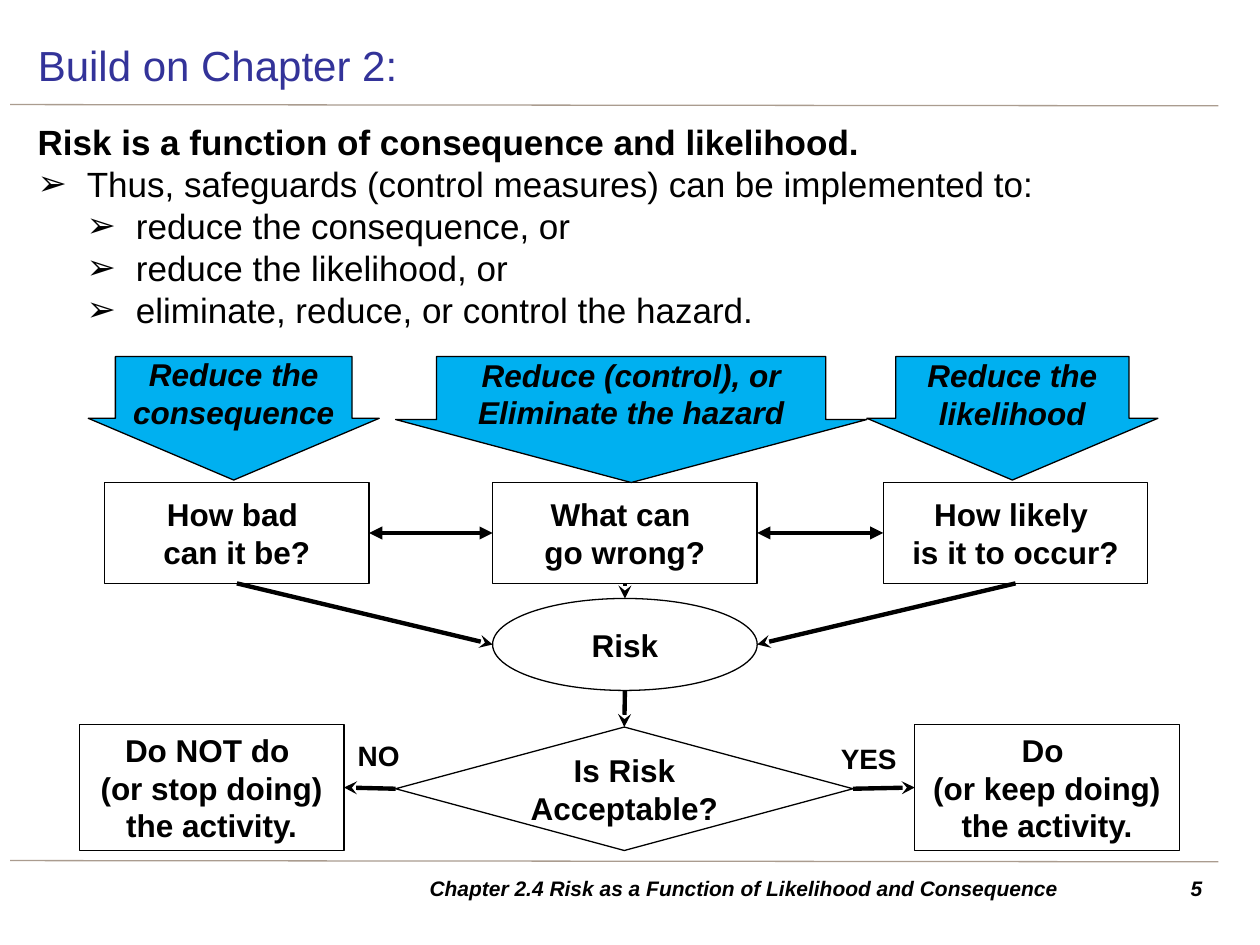
from dataclasses import dataclass
from lxml.etree import SubElement
from pptx import Presentation
from pptx.dml.color import RGBColor
from pptx.enum.shapes import MSO_CONNECTOR, MSO_SHAPE
from pptx.enum.text import MSO_ANCHOR, MSO_AUTO_SIZE, PP_ALIGN
from pptx.oxml.ns import qn
from pptx.util import Inches, Pt


@dataclass
class Theme:
    font: str = "Arial"
    ink: str = "000000"
    title: str = "333399"
    paper: str = "FFFFFF"
    accent: str = "00B0F0"
    rule: str = "AA9C8F"
    head: int = 24
    body: int = 20
    box: int = 18
    label: int = 16
    foot: int = 12


theme = Theme()


def write(shape, lines, size=theme.box, color=theme.ink, bold=True, italic=False,
          align=PP_ALIGN.CENTER, anchor=MSO_ANCHOR.MIDDLE, levels=(), pitch=None):
    frame = shape.text_frame
    frame.word_wrap = True
    frame.auto_size = MSO_AUTO_SIZE.NONE
    frame.vertical_anchor = anchor
    for i, line in enumerate(lines):
        para = frame.paragraphs[0] if i == 0 else frame.add_paragraph()
        para.text = line
        para.alignment = align
        if pitch:
            para.line_spacing = Pt(pitch)
        level = levels[i] if levels else 0
        if level:
            props = para._p.get_or_add_pPr()
            props.set("marL", str(Inches(0.39 * level)))
            props.set("indent", str(Inches(-0.39)))
            SubElement(props, qn("a:buFont")).set("typeface", theme.font)
            SubElement(props, qn("a:buChar")).set("char", "➢")
        for run in para.runs:
            font = run.font
            font.name, font.size = theme.font, Pt(size)
            font.bold, font.italic = bold and not level, italic
            font.color.rgb = RGBColor.from_string(color)


def connect(start, end, color=theme.ink, width=2.5, head=None, tail=None):
    wire = slide.shapes.add_connector(
        MSO_CONNECTOR.STRAIGHT, *map(Inches, start), *map(Inches, end))
    wire.line.color.rgb = RGBColor.from_string(color)
    wire.line.width = Pt(width)
    for tag, kind in (("a:headEnd", head), ("a:tailEnd", tail)):
        if kind:
            SubElement(wire.line._get_or_add_ln(), qn(tag)).set("type", kind)
    SubElement(wire._element.spPr, qn("a:effectLst"))
    return wire


deck = Presentation()
deck.slide_width, deck.slide_height = Inches(10), Inches(7.5)
slide = deck.slides.add_slide(deck.slide_layouts[5])

for y in (0.83, 6.83):
    connect((0.08, y), (9.67, y + 0.01), theme.rule, 0.75)

title = slide.shapes.title
title.left, title.top, title.width, title.height = map(Inches, (0.2, 0.24, 9.45, 0.55))
write(title, ["Build on Chapter 2:"], size=theme.head, color=theme.title,
      bold=False, align=PP_ALIGN.LEFT)

body = [
    "Risk is a function of consequence and likelihood.",
    "Thus, safeguards (control measures) can be implemented to:",
    "reduce the consequence, or",
    "reduce the likelihood, or",
    "eliminate, reduce, or control the hazard.",
]
texts = [
    ((0.2, 0.91, 9.45, 1.8), body,
     dict(size=theme.body, align=PP_ALIGN.LEFT, anchor=MSO_ANCHOR.TOP,
          levels=(0, 1, 2, 2, 2), pitch=24)),
    ((9.06, 6.89, 0.58, 0.31), ["5"],
     dict(size=theme.foot, italic=True, align=PP_ALIGN.RIGHT)),
    ((2.95, 6.89, 5.91, 0.31),
     ["Chapter 2.4 Risk as a Function of Likelihood and Consequence"],
     dict(size=theme.foot, italic=True)),
    ((2.64, 5.81, 0.73, 0.37), ["NO"], dict(size=theme.label)),
    ((6.53, 5.83, 0.73, 0.37), ["YES"], dict(size=theme.label)),
]
for place, lines, style in texts:
    write(slide.shapes.add_textbox(*map(Inches, place)), lines, **style)

rect, down = MSO_SHAPE.RECTANGLE, MSO_SHAPE.DOWN_ARROW
nodes = [
    ("risk", MSO_SHAPE.OVAL, (3.91, 4.75, 2.1, 0.73), ["Risk"], None),
    ("bad", rect, (0.83, 3.83, 2.1, 0.8), ["How bad \vcan it be?"], None),
    ("wrong", rect, (3.91, 3.83, 2.1, 0.8), ["What can \vgo wrong?"], None),
    ("likely", rect, (7.01, 3.83, 2.1, 0.8), ["How likely \vis it to occur?"], None),
    ("test", MSO_SHAPE.DIAMOND, (3.14, 5.77, 3.63, 0.98), ["Is Risk Acceptable?"], None),
    ("stop", rect, (0.63, 5.75, 2.1, 1),
     ["Do NOT do \v(or stop doing)", "the activity."], None),
    ("keep", rect, (7.26, 5.75, 2.1, 1),
     ["Do \v(or keep doing)", "the activity."], None),
    ("less", down, (0.7, 2.83, 2.31, 0.98), ["Reduce the consequence"], 0.813),
    ("rare", down, (6.88, 2.83, 2.31, 0.98), ["Reduce the likelihood"], 0.801),
    ("curb", down, (3.14, 2.83, 3.74, 1),
     ["Reduce (control), or Eliminate the hazard"], 0.826),
]
shapes = {}
for name, kind, place, lines, shaft in nodes:
    shape = slide.shapes.add_shape(kind, *map(Inches, place))
    shape.shadow.inherit = False
    shape.fill.solid()
    shape.fill.fore_color.rgb = RGBColor.from_string(theme.accent if shaft else theme.paper)
    shape.line.color.rgb = RGBColor.from_string(theme.ink)
    shape.line.width = Pt(0.75)
    if shaft:
        shape.adjustments[0], shape.adjustments[1] = shaft, 0.5
    write(shape, lines, italic=bool(shaft))
    shapes[name] = shape

top, left, bottom, right = range(4)
links = [
    ("bad", right, "wrong", left, "triangle", "triangle"),
    ("wrong", right, "likely", left, "triangle", "triangle"),
    ("wrong", bottom, "risk", top, None, "stealth"),
    ("bad", bottom, "risk", left, None, "stealth"),
    ("likely", bottom, "risk", right, None, "stealth"),
    ("risk", bottom, "test", top, None, "stealth"),
    ("test", right, "keep", left, None, "stealth"),
    ("test", left, "stop", right, None, "stealth"),
]
spots = {top: (0.5, 0), left: (0, 0.5), bottom: (0.5, 1), right: (1, 0.5)}
places = {node[0]: node[2] for node in nodes}
for first, out, last, into, head, tail in links:
    ends = []
    for name, side in ((first, out), (last, into)):
        x, y, w, h = places[name]
        ends.append((x + w * spots[side][0], y + h * spots[side][1]))
    wire = connect(*ends, head=head, tail=tail)
    if first != "risk":
        wire.begin_connect(shapes[first], out)
    if last != "risk":
        wire.end_connect(shapes[last], into)

deck.save("out.pptx")
